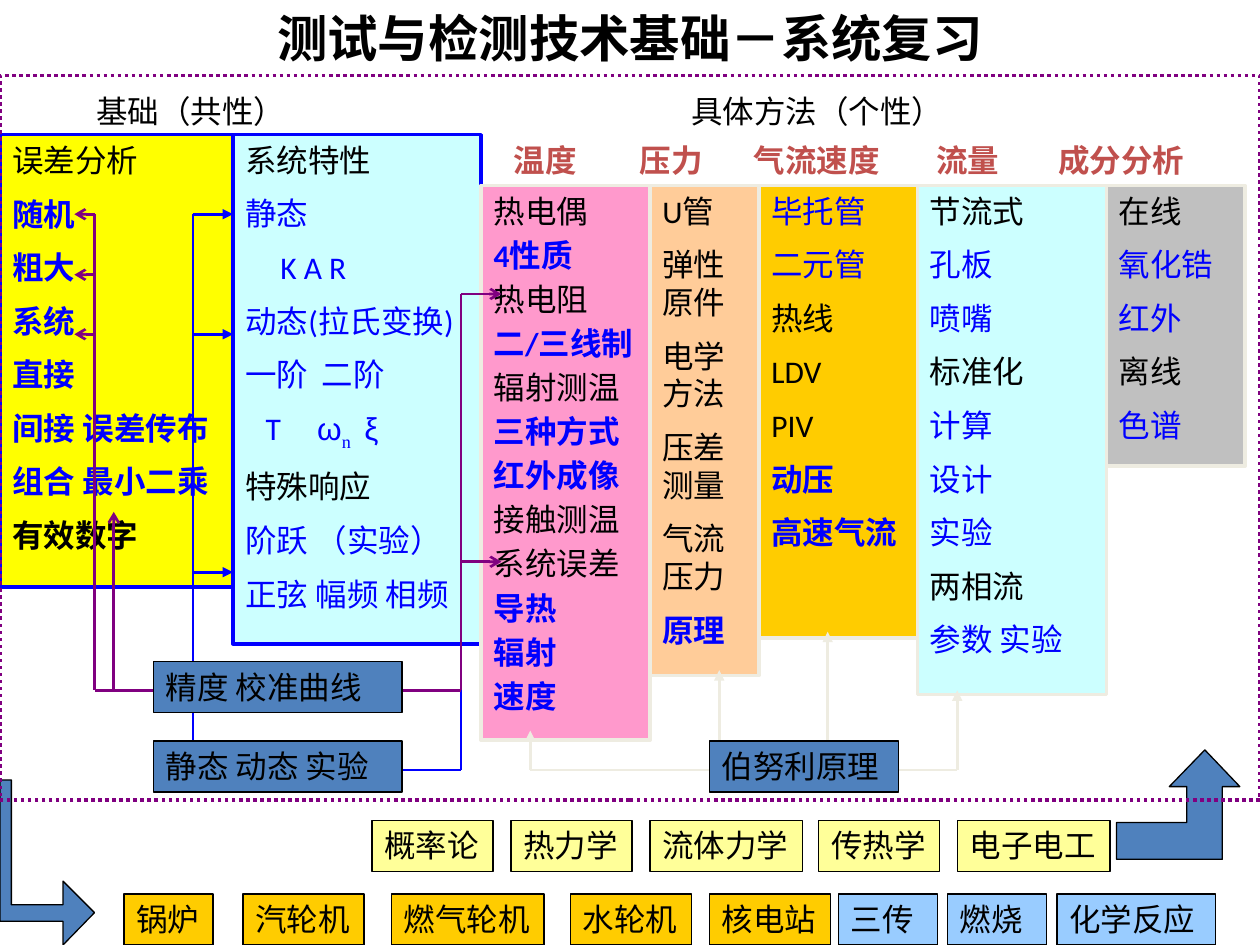
from lxml.etree import SubElement
from pptx import Presentation
from pptx.dml.color import RGBColor
from pptx.enum.dml import MSO_LINE
from pptx.enum.shapes import MSO_CONNECTOR, MSO_SHAPE
from pptx.enum.text import MSO_ANCHOR, MSO_AUTO_SIZE, PP_ALIGN
from pptx.oxml.ns import qn
from pptx.util import Pt

COLORS = {
    "black": "000000", "blue": "0000FF", "red": "C0504D", "purple": "800080",
    "cream": "EEECE1", "yellow": "FFFF00", "aqua": "CCFFFF", "pink": "FF99CC",
    "peach": "FFCC99", "gold": "FFCC00", "gray": "C0C0C0", "steel": "4F81BD",
    "pale": "FFFF99", "sky": "99CCFF",
}
RGB = {name: RGBColor.from_string(value) for name, value in COLORS.items()}
FRAME = {"word_wrap": True, "auto_size": MSO_AUTO_SIZE.NONE,
         "vertical_anchor": MSO_ANCHOR.TOP}
FONT = {"name": "Calibri", "size": Pt(18), "bold": False}


def write(paragraph, text, color="black", **changes):
    """Append one run; changes override the values in FONT."""
    run = paragraph.add_run()
    run.text = text
    run.font.color.rgb = RGB[color]
    for key, value in {**FONT, **changes}.items():
        setattr(run.font, key, value)
    return run


def add_box(bounds, groups, fill=None, edge=None, weight=0.75, gap=9, tabs={}, **frame):
    """Add a text box, or a filled rectangle, with groups of (colour, bold, lines)."""
    bounds = [Pt(value) for value in bounds]
    if fill:
        box = slide.shapes.add_shape(MSO_SHAPE.RECTANGLE, *bounds)
        box.shadow.inherit = False
        box.fill.solid()
        box.fill.fore_color.rgb = RGB[fill]
        box.line.color.rgb = RGB[edge]
        box.line.width = Pt(weight)
    else:
        box = slide.shapes.add_textbox(*bounds)
    for key, value in {**FRAME, **frame}.items():
        setattr(box.text_frame, key, value)
    lines = [(color, bold, line) for color, bold, text in groups for line in text.split("|")]
    for index, (color, bold, line) in enumerate(lines):
        paragraph = box.text_frame.add_paragraph() if index else box.text_frame.paragraphs[0]
        paragraph.alignment = PP_ALIGN.LEFT
        if index in tabs:
            tab_list = SubElement(paragraph._p.get_or_add_pPr(), qn("a:tabLst"))
            for stop in tabs[index]:
                SubElement(tab_list, qn("a:tab"), pos=str(Pt(stop)), algn="l")
        if index:
            paragraph.space_before = Pt(gap)
        write(paragraph, line, color, bold=bold)
    return box


prs = Presentation()
prs.slide_width, prs.slide_height = Pt(720), Pt(540)
slide = prs.slides.add_slide(prs.slide_layouts[6])

# Title and headings
title = add_box((36, 0, 648, 43.2), [("black", True, "测试与检测技术基础－系统复习")],
                vertical_anchor=MSO_ANCHOR.MIDDLE).text_frame.paragraphs[0]
title.alignment = PP_ALIGN.CENTER
title.runs[0].font.size = Pt(28.8)
add_box((48, 49, 130, 29), [("black", False, "基础（共性）")])
add_box((388, 49, 170, 29), [("black", False, "具体方法（个性）")])
add_box((286.5, 77, 433.5, 29), [("red", True, "温度\t压力\t气流速度\t流量\t成分分析")],
        tabs={0: (72, 137, 241.5, 311)})

# Foundation columns
add_box((0, 77, 139, 258.5), [
    ("black", False, "误差分析"),
    ("blue", True, "随机|粗大|系统|直接|间接 误差传布|组合 最小二乘"),
    ("black", True, "有效数字")], "yellow", "blue", 2)
system = add_box((133.2, 77, 141.8, 291), [
    ("black", False, "系统特性"),
    ("blue", False, "静态|\tK A R|动态(拉氏变换)|一阶\t二阶|\tT\t"),
    ("black", False, "特殊响应"),
    ("blue", False, "阶跃 （实验）|正弦 幅频 相频")], "aqua", "blue", 2,
    tabs={2: (20,), 4: (43.5,), 5: (11.5, 41, 68)})
formula = system.text_frame.paragraphs[5]
write(formula, "ω", "blue", name="Arial")
subscript = write(formula, "n", "blue", name="Times New Roman")
subscript.font._element.set("baseline", "-25000")
write(formula, "\tξ", "blue", name="Arial")

# Method columns: width, height, paragraph gap, fill, text
methods = [
    (96.5, 317, 3.6, "pink", [
        ("black", False, "热电偶"), ("blue", True, "4性质"),
        ("black", False, "热电阻"), ("blue", True, "二/三线制"),
        ("black", False, "辐射测温"), ("blue", True, "三种方式|红外成像"),
        ("black", False, "接触测温|系统误差"), ("blue", True, "导热|辐射|速度")]),
    (62.2, 280, 9, "peach", [
        ("black", False, "U管|弹性原件|电学方法|压差测量|气流压力"), ("blue", True, "原理")]),
    (90.5, 258.5, 9, "gold", [
        ("blue", False, "毕托管|二元管"), ("black", False, "热线|LDV|PIV"),
        ("blue", True, "动压|高速气流")]),
    (108, 291, 9, "aqua", [
        ("black", False, "节流式"), ("blue", False, "孔板|喷嘴"),
        ("black", False, "标准化"), ("blue", False, "计算|设计|实验"),
        ("black", False, "两相流"), ("blue", False, "参数 实验")]),
    (79.2, 160.5, 9, "gray", [
        ("black", False, "在线"), ("blue", False, "氧化锆|红外"),
        ("black", False, "离线"), ("blue", False, "色谱")]),
]
left = 275
for width, height, gap, fill, groups in methods:
    add_box((left, 106, width, height), groups, fill, "cream", 2, gap)
    left += width

# Links: colour, arrowhead, (x1, y1, x2, y2)
links = [
    ("blue", None, [(110.2, 122.4, 110.2, 434), (263.5, 394.5, 263.5, 440),
                    (229.7, 440, 263.5, 440)]),
    ("blue", "triangle", [(110.2, y, 133.2, y) for y in (122.4, 191, 327)]),
    ("purple", None, [(54, 394.5, 263.5, 394.5), (54, 122.4, 54, 394.5),
                      (263.5, 168, 263.5, 394.5)]),
    ("purple", "arrow", [(54, y, 42.5, y) for y in (122.4, 157, 191)]
     + [(263.5, y, 286.5, y) for y in (168, 321)] + [(65, 394.5, 65, 292.5)]),
    ("cream", None, [(303, 440, 547, 440)]),
    ("cream", "triangle", [(303, 440, 303, 417.5), (411, 423.5, 411, 383),
                           (473, 423.5, 473, 361), (547, 440, 547, 394.5)]),
]
for color, head, routes in links:
    for route in routes:
        link = slide.shapes.add_connector(MSO_CONNECTOR.STRAIGHT, *[Pt(v) for v in route])
        link.line.color.rgb = RGB[color]
        link.line.width = Pt(1.5)
        if head:
            SubElement(link.line._get_or_add_ln(), qn("a:tailEnd"), type=head)
        SubElement(link._element.spPr, qn("a:effectLst"))

# Label boxes: top, fill, wrapping, (left, width, text)
label_rows = [
    (378, "steel", True, [(87.7, 142, "精度 校准曲线")]),
    (423.4, "steel", True, [(87.7, 142, "静态 动态 实验"), (405.4, 108, "伯努利原理")]),
    (468.7, "pale", False, [
        (212.6, 69.2, "概率论"), (292, 69.2, "热力学"), (371.4, 87.2, "流体力学"),
        (467.8, 69.2, "传热学"), (547.2, 87.2, "电子电工")]),
    (510.8, "gold", False, [
        (70.8, 51, "锅炉"), (138.8, 69.2, "汽轮机"), (223.8, 87.2, "燃气轮机"),
        (326, 69.2, "水轮机"), (405.4, 69.2, "核电站")]),
    (510.8, "sky", True, [
        (479, 56.7, "三传"), (541.5, 56.7, "燃烧"), (604, 90.7, "化学反应")]),
]
for top, fill, wrap, labels in label_rows:
    for left, width, text in labels:
        add_box((left, top, width, 29.2), [("black", False, text)], fill, "black",
                word_wrap=wrap)

# Bent arrows between the layers
bent_arrows = [
    [(688.5, 428.5), (668.2, 449.5), (678.2, 449.5), (678.2, 470), (638, 470),
     (638, 491), (698.5, 491), (698.5, 449.5), (708.5, 449.5)],
    [(54, 521.5), (36, 503.5), (36, 517), (6.5, 517), (6.5, 445.7),
     (0, 445.7), (0, 526.5), (36, 526.5), (36, 540)],
]
for start, *corners in bent_arrows:
    builder = slide.shapes.build_freeform(Pt(start[0]), Pt(start[1]))
    builder.add_line_segments([(Pt(x), Pt(y)) for x, y in corners], close=True)
    arrow = builder.convert_to_shape()
    arrow.shadow.inherit = False
    arrow.fill.solid()
    arrow.fill.fore_color.rgb = RGB["steel"]
    arrow.line.color.rgb = RGB["black"]
    arrow.line.width = Pt(0.75)

# Dotted border around the course content
border = slide.shapes.add_shape(MSO_SHAPE.RECTANGLE, Pt(0), Pt(43.2), Pt(720), Pt(414))
border.shadow.inherit = False
border.fill.background()
border.line.color.rgb = RGB["purple"]
border.line.width = Pt(2)
border.line.dash_style = MSO_LINE.ROUND_DOT

prs.save("out.pptx")
